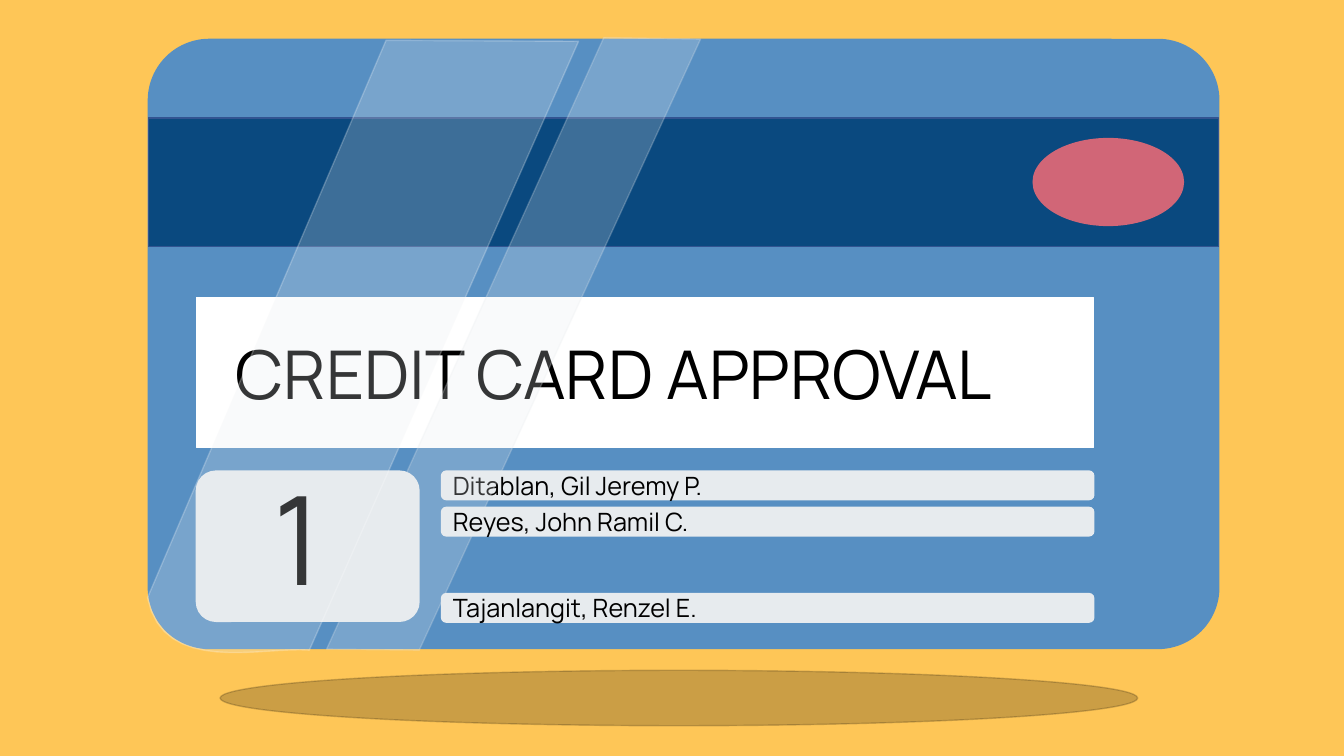
import pptx
import pptx.dml.color
import pptx.enum.shapes
import pptx.enum.text
import pptx.oxml.ns
import pptx.util
from lxml import etree

Pt = pptx.util.Pt
SHAPE = pptx.enum.shapes.MSO_SHAPE

TITLE = "CREDIT CARD APPROVAL"
GROUP_NUMBER = "1"
# name, top of its row
FIRST_MEMBER = ("Ditablan, Gil Jeremy P.", 336.5)
OTHER_MEMBERS = [("Reyes, John Ramil C.", 362.4), ("Tajanlangit, Renzel E.", 424)]

THEME = {
    "font": "Manrope",
    "sizes": {"title": 48, "number": 88, "member": 18},
    "background": "FEC657", "card": "578FC2",
    "stripe": "0A497F", "stripe_line": "325491",
    "panel": "E7EBEE", "white": "FFFFFF",
    "emblem": "D16677", "black": "000000",
}

SLIDE = (960, 540)
CARD = (106, 28.2, 764.6, 435)
CONTENT_LEFT, CONTENT_RIGHT = 140.3, 781.3
MEMBER_LEFT, MEMBER_HEIGHT = 315.4, 20.4
NARROW_GLARE = [(233.3, 463.7), (431.3, 26.8), (500.4, 28), (299.5, 464.4)]
WIDE_GLARE = [(105.4, 427), (275.8, 28.8), (413.3, 29.5), (221, 464.4)]
WIDE_GLARE_CORNER = [(221, 464.4), (187.9, 461.5), (116.6, 483.1), (105.4, 427)]
CURVE_STEPS = 16


def rgb(name):
    return pptx.dml.color.RGBColor.from_string(THEME[name])


def set_alpha(fill_format_parent, percent):
    """Add transparency to the first solid colour found in an element."""
    color = fill_format_parent.find(".//" + pptx.oxml.ns.qn("a:srgbClr"))
    alpha = etree.SubElement(color, pptx.oxml.ns.qn("a:alpha"))
    alpha.set("val", str(percent * 1000))


def paint(s, fill, line=None, fill_alpha=None, line_alpha=None):
    s.shadow.inherit = False
    s.fill.solid()
    s.fill.fore_color.rgb = rgb(fill)
    s.line.width = Pt(1)
    s.line.color.rgb = rgb(line or fill)
    props = s._element.spPr
    if fill_alpha:
        set_alpha(props.find(pptx.oxml.ns.qn("a:solidFill")), fill_alpha)
    if line_alpha:
        set_alpha(props.find(pptx.oxml.ns.qn("a:ln")), line_alpha)


def add_block(sp, kind, box, fill, line=None, corner=None, **alphas):
    s = sp.add_shape(kind, *map(Pt, box))
    if corner is not None:
        s.adjustments[0] = corner
    paint(s, fill, line, **alphas)
    return s


def write(tf, text, size):
    tf.word_wrap = True
    p = tf.paragraphs[0]
    p.alignment = pptx.enum.text.PP_ALIGN.LEFT
    r = p.add_run()
    r.text = text
    r.font.name = THEME["font"]
    r.font.size = Pt(THEME["sizes"][size])
    r.font.color.rgb = rgb("black")


def add_label(sp, box, text, size):
    write(sp.add_textbox(*map(Pt, box)).text_frame, text, size)


def add_member(sp, name, top):
    box = (MEMBER_LEFT, top, CONTENT_RIGHT - MEMBER_LEFT, MEMBER_HEIGHT)
    s = add_block(sp, SHAPE.ROUNDED_RECTANGLE, box, "panel")
    s.text_frame.vertical_anchor = pptx.enum.text.MSO_ANCHOR.MIDDLE
    write(s.text_frame, name, "member")


def bezier(controls):
    """Sample a cubic curve as short straight steps, without its start."""
    points = []
    for step in range(1, CURVE_STEPS + 1):
        t = step / CURVE_STEPS
        weights = ((1 - t) ** 3, 3 * t * (1 - t) ** 2, 3 * t ** 2 * (1 - t), t ** 3)
        points.append(tuple(sum(w * c[axis] for w, c in zip(weights, controls))
                            for axis in (0, 1)))
    return points


def add_glare(sp, points, line):
    start, *rest = [(Pt(x), Pt(y)) for x, y in points]
    builder = sp.build_freeform(*start)
    builder.add_line_segments(rest, close=True)
    paint(builder.convert_to_shape(), "panel", line, fill_alpha=23, line_alpha=23)


def main():
    prs = pptx.Presentation()
    prs.slide_width, prs.slide_height = map(Pt, SLIDE)
    slide = prs.slides.add_slide(prs.slide_layouts[6])
    slide.background.fill.solid()
    slide.background.fill.fore_color.rgb = rgb("background")
    sp = slide.shapes

    left, _, width, _ = CARD
    add_block(sp, SHAPE.ROUNDED_RECTANGLE, CARD, "card", corner=0.1)
    add_block(sp, SHAPE.RECTANGLE, (left, 84.2, width, 92), "stripe", "stripe_line")
    add_block(sp, SHAPE.ROUNDED_RECTANGLE, (CONTENT_LEFT, 336.5, 159, 107.3),
              "panel", corner=0.13)
    add_member(sp, *FIRST_MEMBER)
    add_block(sp, SHAPE.RECTANGLE,
              (CONTENT_LEFT, 212.5, CONTENT_RIGHT - CONTENT_LEFT, 107.3), "white")
    add_block(sp, SHAPE.OVAL, (738, 99, 107.3, 62), "emblem")
    add_label(sp, (161.3, 234, 599, 65.5), TITLE, "title")
    add_label(sp, (188.6, 327, 66.2, 113.8), GROUP_NUMBER, "number")
    add_glare(sp, NARROW_GLARE, "panel")
    add_glare(sp, WIDE_GLARE + bezier(WIDE_GLARE_CORNER)[:-1], "white")
    for name, top in OTHER_MEMBERS:
        add_member(sp, name, top)
    add_block(sp, SHAPE.OVAL, (157.2, 478.8, 655.4, 39.6), "black",
              fill_alpha=20, line_alpha=18)
    prs.save("out.pptx")


if __name__ == "__main__":
    main()
